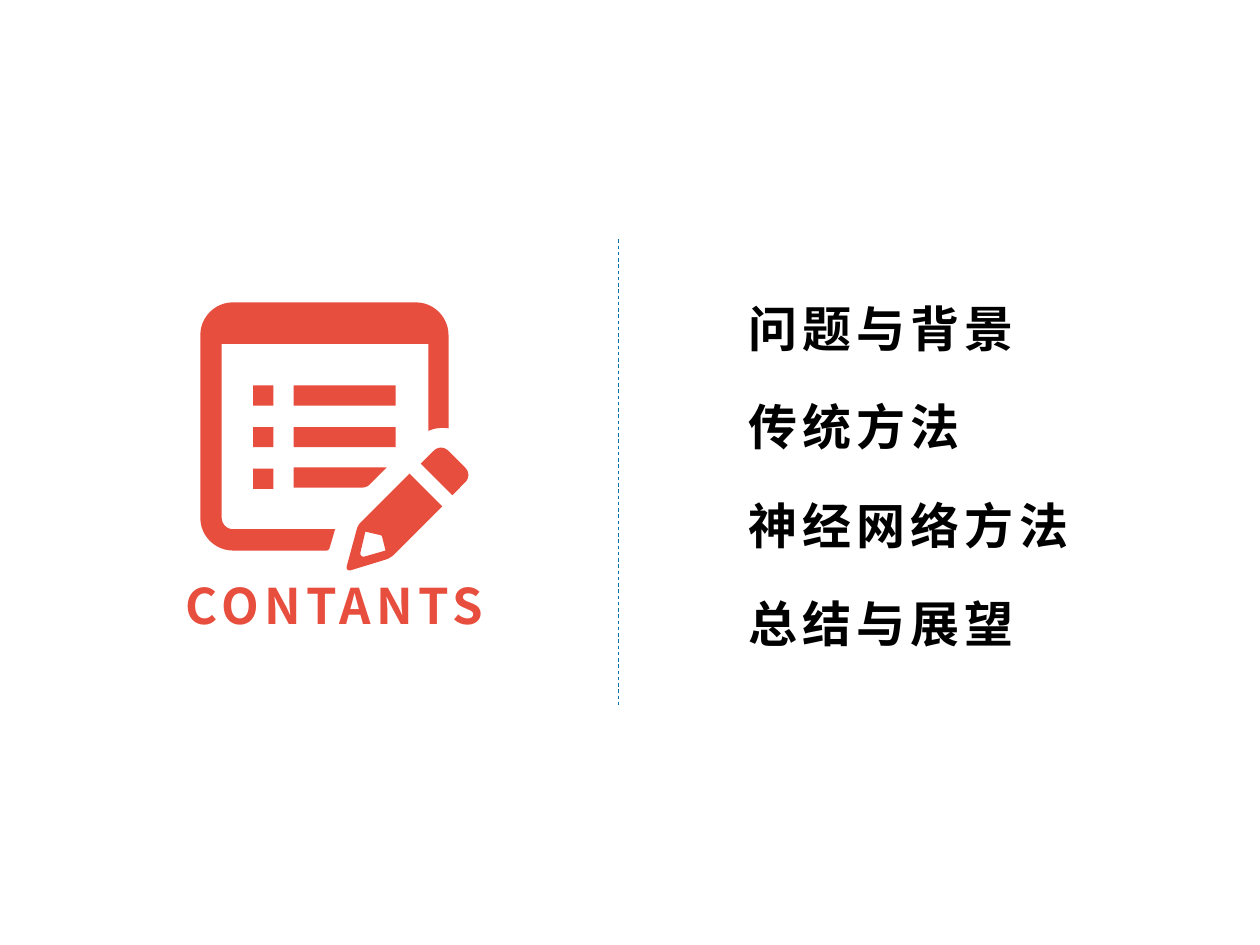
from lxml.etree import SubElement
from pptx import Presentation
from pptx.dml.color import RGBColor
from pptx.enum.dml import MSO_LINE_DASH_STYLE as Dash
from pptx.enum.shapes import MSO_CONNECTOR as Connector, MSO_SHAPE as Shape
from pptx.enum.text import MSO_AUTO_SIZE as AutoSize, PP_ALIGN as Align
from pptx.oxml.ns import qn
from pptx.util import Pt

PX = 9144  # EMU per px, 100 px to the inch
FONT = "Noto Sans CJK SC"
RED = RGBColor(0xE7, 0x4E, 0x3E)
BLUE = RGBColor(0x01, 0x74, 0xAB)
BLACK = RGBColor(0, 0, 0)


def round_corners(corners):
    """Turn (x, y, radius) corners into EMU points along the rounded outline."""
    points = []
    for i, (x, y, radius) in enumerate(corners):
        if radius == 0:
            points.append((x * PX, y * PX))
            continue
        ends = []
        for nx, ny, _ in (corners[i - 1], corners[(i + 1) % len(corners)]):
            reach = radius / ((nx - x) ** 2 + (ny - y) ** 2) ** 0.5
            ends.append(((nx - x) * reach, (ny - y) * reach))
        (ax, ay), (bx, by) = ends
        for step in range(13):
            t = step / 12
            a = (1 - t) ** 3 + 1.35 * t * (1 - t) ** 2
            b = t ** 3 + 1.35 * t ** 2 * (1 - t)
            points.append((round((x + a * ax + b * bx) * PX),
                           round((y + a * ay + b * by) * PX)))
    return points


def add_label(page, text, left, top, width, color, align):
    box = page.shapes.add_textbox(left * PX, top * PX, width * PX, 57 * PX)
    frame = box.text_frame
    frame.word_wrap = True
    frame.auto_size = AutoSize.SHAPE_TO_FIT_TEXT
    frame.text = text
    para = frame.paragraphs[0]
    para.alignment = align
    span = para.runs[0]
    span.font.size = Pt(28)
    span.font.bold = True
    span.font.color.rgb = color
    span.font.name = FONT
    props = span.font._element
    props.set("spc", "300")
    SubElement(props, qn("a:ea")).set("typeface", FONT)


deck = Presentation()
deck.slide_width, deck.slide_height = 1000 * PX, 750 * PX
page = deck.slides.add_slide(deck.slide_layouts[6])

# Dashed divider
divider = page.shapes.add_connector(Connector.STRAIGHT, 491 * PX, 190 * PX, 491 * PX, 560 * PX)
divider.line.color.rgb = BLUE
divider.line.width = Pt(0.5)
divider.line.dash_style = Dash.DASH
SubElement(divider._element.spPr, qn("a:effectLst"))

# Agenda items
agenda = [("问题与背景", 248), ("传统方法", 301), ("神经网络方法", 301), ("总结与展望", 284)]
for row, (item, width) in enumerate(agenda):
    add_label(page, item, 584, 232 + 78 * row, width, BLACK, Align.LEFT)

# Notepad and pencil outlines: each is a list of contours of (x, y, radius)
notepad = [[(266, 420, 0), (261, 437, 2), (159, 437, 26), (159, 240, 26), (356, 240, 26),
            (356, 340, 0), (348, 339, 6), (340, 342, 0), (340, 273, 0), (176, 273, 0),
            (176, 420, 9)]]
pencil = [[(325, 376, 0), (351, 402, 0), (310, 443, 4), (274, 454, 5), (284, 417, 3)],
          [(290, 422, 0), (303, 425, 1), (306, 437, 0), (285, 443, 5)]]
eraser = [[(334, 368, 0), (350, 352, 8), (375, 377, 8), (359, 393, 0)]]
cut_bar = [[(233, 371, 0), (307, 371, 0), (291, 387, 3), (233, 387, 0)]]
icon_parts = []
for contours in (notepad, pencil, eraser, cut_bar):
    outline = None
    for corners in contours:
        points = round_corners(corners)
        if outline is None:
            outline = page.shapes.build_freeform(*points[0], scale=1.0)
        else:
            outline.move_to(*points[0])
        outline.add_line_segments(points[1:], close=True)
    icon_parts.append(outline.convert_to_shape())

# List squares and the two full bars
for left, width, rows in ((201, 16, 3), (233, 81, 2)):
    for row in range(rows):
        icon_parts.append(page.shapes.add_shape(
            Shape.RECTANGLE, left * PX, (306 + 33 * row) * PX, width * PX, 16 * PX))

for part in icon_parts:
    part.shadow.inherit = False
    part.fill.solid()
    part.fill.fore_color.rgb = RED
    part.line.fill.background()

# Icon caption
add_label(page, "CONTANTS", 120, 452, 291, RED, Align.CENTER)

deck.save("out.pptx")
